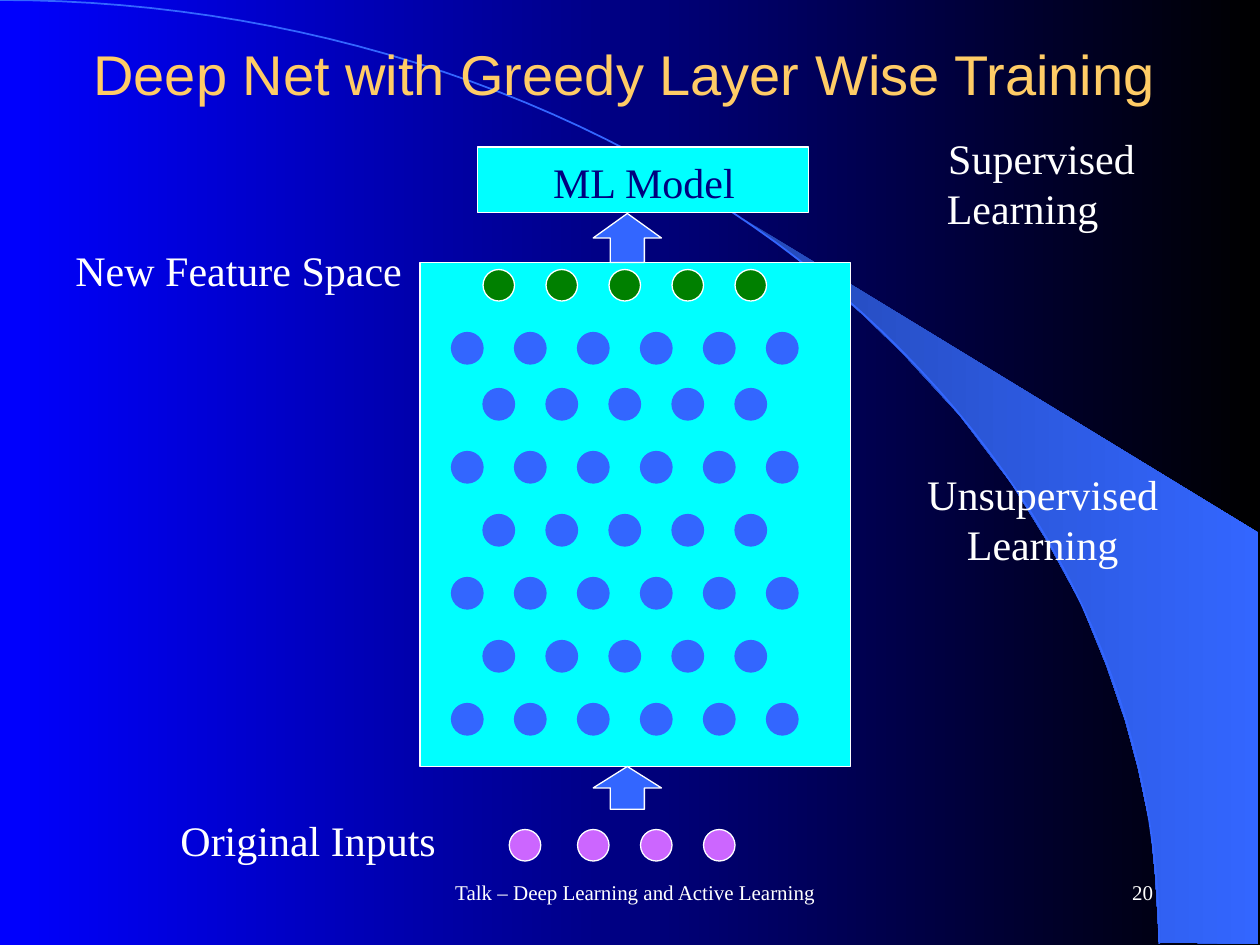
from dataclasses import dataclass
from math import cos, pi, sin

from pptx import Presentation
from pptx.dml.color import RGBColor
from pptx.enum.shapes import MSO_SHAPE
from pptx.enum.text import MSO_ANCHOR, MSO_AUTO_SIZE, PP_ALIGN
from pptx.util import Pt

RECTANGLE, OVAL, UP_ARROW = MSO_SHAPE.RECTANGLE, MSO_SHAPE.OVAL, MSO_SHAPE.UP_ARROW
LEFT, CENTER, RIGHT = PP_ALIGN.LEFT, PP_ALIGN.CENTER, PP_ALIGN.RIGHT
TOP, MIDDLE = MSO_ANCHOR.TOP, MSO_ANCHOR.MIDDLE
NO_FIT, GROW = MSO_AUTO_SIZE.NONE, MSO_AUTO_SIZE.SHAPE_TO_FIT_TEXT


@dataclass(frozen=True)
class Theme:
    """Colours, fonts and type sizes of the slide."""
    blue: str = "0000FF"
    black: str = "000000"
    white: str = "FFFFFF"
    gold: str = "FFCC66"
    navy: str = "00007F"
    cyan: str = "00FFFF"
    sky: str = "3366FF"
    dusk: str = "2449B6"
    green: str = "008000"
    violet: str = "CC66FF"
    title_font: str = "Arial"
    body_font: str = "Times New Roman"
    title_size: float = 32
    label_size: float = 24
    footer_size: float = 12


THEME = Theme()


@dataclass(frozen=True)
class Box:
    """A rectangle in points."""
    left: float
    top: float
    width: float
    height: float


@dataclass(frozen=True)
class Label:
    """A text box; one alignment per paragraph."""
    text: str
    box: Box
    aligns: tuple = (LEFT,)
    color: str = THEME.white
    size: float = THEME.label_size
    anchor: MSO_ANCHOR = TOP
    grows: bool = True


@dataclass(frozen=True)
class Layer:
    """A row of evenly spaced units."""
    left: float
    top: float
    count: int
    fill: str = THEME.sky
    line: str = THEME.sky


@dataclass(frozen=True)
class Block:
    """An outlined preset shape."""
    kind: MSO_SHAPE
    box: Box
    fill: str


UNIT_SIZE, UNIT_STEP = 18, 36
NET = Block(RECTANGLE, Box(240, 150, 246, 288), THEME.cyan)
BLOCKS = (
    NET,
    Block(UP_ARROW, Box(339, 122, 39, 28), THEME.sky),
    Block(UP_ARROW, Box(339, 438, 39, 24.5), THEME.sky),
    Block(RECTANGLE, Box(273, 84, 189, 37.5), THEME.cyan),
)
WIDE_LEFT, NARROW_LEFT = 258, 276
HIDDEN_TOPS = (190, 222, 258, 294, 330, 366, 402)
LAYERS = (
    Layer(NARROW_LEFT, 154, 5, THEME.green, THEME.white),
    *(Layer(NARROW_LEFT if row % 2 else WIDE_LEFT, top, 5 if row % 2 else 6)
      for row, top in enumerate(HIDDEN_TOPS)),
    Layer(291, 474, 1, THEME.violet, THEME.white),
    Layer(330, 474, 3, THEME.violet, THEME.white),
)
LABELS = (
    Label("Talk – Deep Learning and Active Learning", Box(228, 492, 270, 36),
          (CENTER,), size=THEME.footer_size, anchor=MIDDLE, grows=False),
    Label("20", Box(516, 492, 150, 36), (RIGHT,),
          size=THEME.footer_size, anchor=MIDDLE, grows=False),
    Label("ML Model", Box(309, 86, 119.5, 36), color=THEME.navy),
    Label("New Feature Space", Box(36, 136, 204, 36)),
    Label("Original Inputs", Box(96, 462, 162, 36)),
    Label("Supervised\nLearning", Box(534, 72, 122.4, 65.5), (CENTER, LEFT)),
    Label("Unsupervised\nLearning", Box(522, 264, 147.6, 65.5), (CENTER, CENTER)),
)
ARC_WIDTH, ARC_HEIGHT, ARC_STEPS = 662.4, 539.3, 60
SWOOSH = (
    (662.4, 538.6), (719.3, 539.3), (719.3, 304.6), (424.1, 124.6), (449.3, 143.3),
    (470.2, 159.8), (493.2, 180), (515.5, 201.6), (548.6, 237.6), (578.2, 276.5),
    (599, 310.3), (617.8, 344.9), (632.2, 380.2), (643, 411.8), (650.2, 438.5),
    (657.4, 472.3), (660.2, 501.1),
)


def rgb(code):
    """Turn a hex code into a colour."""
    return RGBColor.from_string(code)


def set_gradient(fill, start: str, end: str) -> None:
    """Fill from left to right between two colours."""
    fill.gradient()
    fill.gradient_angle = 0
    for stop, code, position in zip(fill.gradient_stops, (start, end), (0, 1)):
        stop.color.rgb = rgb(code)
        stop.position = position


def place(box: Box) -> tuple:
    """Give the box as lengths."""
    return Pt(box.left), Pt(box.top), Pt(box.width), Pt(box.height)


def draw_outline(page, points, close: bool):
    """Draw a freeform through points."""
    (left, top), *rest = [(Pt(x), Pt(y)) for x, y in points]
    builder = page.shapes.build_freeform(left, top, scale=1.0)
    builder.add_line_segments(rest, close=close)
    shape = builder.convert_to_shape()
    shape.shadow.inherit = False
    return shape


def draw_backdrop(page) -> None:
    """Draw the background gradient, the swoosh and the arc."""
    set_gradient(page.background.fill, THEME.blue, THEME.black)
    swoosh = draw_outline(page, SWOOSH, True)
    set_gradient(swoosh.fill, THEME.dusk, THEME.sky)
    swoosh.line.fill.background()
    angles = [pi / 2 * step / ARC_STEPS for step in range(ARC_STEPS + 1)]
    points = [(ARC_WIDTH * sin(a), ARC_HEIGHT * (1 - cos(a))) for a in angles]
    arc = draw_outline(page, points, False)
    arc.fill.background()
    arc.line.color.rgb = rgb(THEME.sky)
    arc.line.width = Pt(1)


def draw_shape(page, kind: MSO_SHAPE, box: Box, fill: str, line: str) -> None:
    """Draw a filled preset shape with a thin line."""
    shape = page.shapes.add_shape(kind, *place(box))
    shape.shadow.inherit = False
    shape.fill.solid()
    shape.fill.fore_color.rgb = rgb(fill)
    shape.line.color.rgb = rgb(line)
    shape.line.width = Pt(0.75)


def draw_layer(page, layer: Layer) -> None:
    """Draw one row of units."""
    for index in range(layer.count):
        box = Box(layer.left + index * UNIT_STEP, layer.top, UNIT_SIZE, UNIT_SIZE)
        draw_shape(page, OVAL, box, layer.fill, layer.line)


def write(frame, label: Label, font: str) -> None:
    """Set and format the text of a frame."""
    frame.text = label.text
    frame.word_wrap = not label.grows
    frame.auto_size = GROW if label.grows else NO_FIT
    frame.vertical_anchor = label.anchor
    for para, align in zip(frame.paragraphs, label.aligns):
        para.alignment = align
        for span in para.runs:
            span.font.name = font
            span.font.size = Pt(label.size)
            span.font.color.rgb = rgb(label.color)


def draw_title(page) -> None:
    """Move the title in front of the backdrop and format it."""
    title = page.shapes.title
    title._element.getparent().append(title._element)
    label = Label("Deep Net with Greedy Layer Wise Training", Box(36, 0, 642, 84),
                  (CENTER,), THEME.gold, THEME.title_size, MIDDLE, False)
    title.left, title.top, title.width, title.height = place(label.box)
    write(title.text_frame, label, THEME.title_font)


def main() -> None:
    """Build and save the slide."""
    deck = Presentation()
    deck.slide_width, deck.slide_height = Pt(720), Pt(540)
    page = deck.slides.add_slide(deck.slide_layouts.get_by_name("Title Only"))
    draw_backdrop(page)
    draw_title(page)
    for block in BLOCKS:
        draw_shape(page, block.kind, block.box, block.fill, THEME.white)
    for layer in LAYERS:
        draw_layer(page, layer)
    for label in LABELS:
        box = page.shapes.add_textbox(*place(label.box))
        write(box.text_frame, label, THEME.body_font)
    deck.save("out.pptx")


main()
